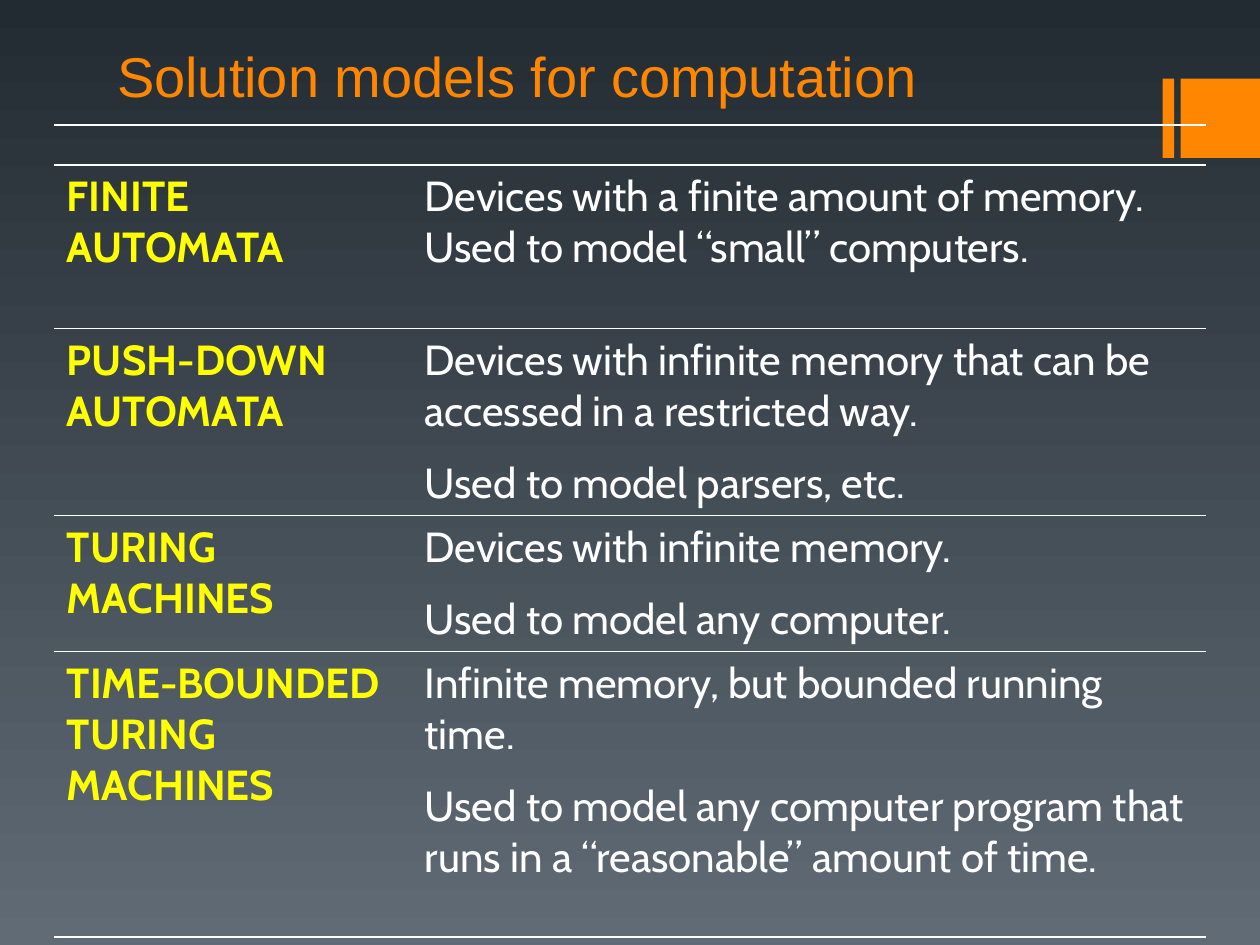
from lxml.etree import SubElement
from pptx import Presentation
from pptx.dml.color import RGBColor
from pptx.enum.shapes import MSO_CONNECTOR, MSO_SHAPE
from pptx.enum.text import MSO_ANCHOR
from pptx.oxml import parse_xml
from pptx.oxml.ns import nsdecls, qn
from pptx.util import Pt

COLORS = {"top": "232B32", "bottom": "606B76", "accent": "FF8600",
          "model": "FFFF00", "text": "FFFFFF"}
LEFT, WIDTH = 31, 658
THIN, THICK = 0.45, 1.08
MODELS = [
    (93.6, "FINITE AUTOMATA",
     ["Devices with a finite amount of memory.\nUsed to model “small” computers."]),
    (106.7, "PUSH-DOWN AUTOMATA",
     ["Devices with infinite memory that can be accessed in a restricted way.",
      "Used to model parsers, etc."]),
    (77.6, "TURING MACHINES",
     ["Devices with infinite memory.", "Used to model any computer."]),
    (163.4, "TIME-BOUNDED TURING MACHINES",
     ["Infinite memory, but bounded running time.",
      "Used to model any computer program that runs in a “reasonable” amount of time."]),
]


def color(name):
    return RGBColor.from_string(COLORS[name])


def format_runs(p, font, size, name, bold=False):
    for r in p.runs:
        r.font.name = font
        r.font.size = Pt(size)
        r.font.bold = bold
        r.font.color.rgb = color(name)


def set_background(s):
    fill = s.background.fill
    fill.gradient()
    fill.gradient_angle = 270
    for stop, name in zip(fill.gradient_stops, ("top", "bottom")):
        stop.color.rgb = color(name)


def add_block(s, left, width):
    sp = s.shapes.add_shape(MSO_SHAPE.RECTANGLE, Pt(left), Pt(45), Pt(width), Pt(45.3))
    sp.shadow.inherit = False
    sp.fill.solid()
    sp.fill.fore_color.rgb = color("accent")
    sp.line.fill.background()


def add_rule(s, y):
    line = s.shapes.add_connector(MSO_CONNECTOR.STRAIGHT, Pt(LEFT), Pt(y),
                                  Pt(LEFT + WIDTH), Pt(y))
    line.line.color.rgb = color("text")
    line.line.width = Pt(0.75)
    SubElement(line._element.spPr, qn("a:effectLst"))


def add_title(s, text):
    sp = s.shapes.add_textbox(Pt(59.8), Pt(0), Pt(576), Pt(65.5))
    tf = sp.text_frame
    tf.word_wrap = True
    tf.vertical_anchor = MSO_ANCHOR.BOTTOM
    tf.text = text
    format_runs(tf.paragraphs[0], "Arial", 32, "accent")


def set_borders(cell, top, bottom):
    tc_pr = cell._tc.get_or_add_tcPr()
    for i, (side, width) in enumerate(zip("LRTB", (0, 0, top, bottom))):
        paint = (f'<a:solidFill><a:srgbClr val="{COLORS["text"]}"/></a:solidFill>'
                 if width else "<a:noFill/>")
        tc_pr.insert(i, parse_xml(
            f'<a:ln{side} {nsdecls("a")} w="{Pt(width)}">{paint}</a:ln{side}>'))


def fill_cell(cell, texts, name, bold):
    tf = cell.text_frame
    for i, text in enumerate(texts):
        p = tf.add_paragraph() if i else tf.paragraphs[0]
        p.text = text
        p.space_before = Pt(12)
        format_runs(p, "Cabin", 24, name, bold)


def add_models(s):
    height = sum(row[0] for row in MODELS)
    table = s.shapes.add_table(len(MODELS), 2, Pt(LEFT), Pt(94.3),
                               Pt(WIDTH), Pt(height)).table
    table.first_row = table.horz_banding = False
    for column, width in zip(table.columns, (204.5, WIDTH - 204.5)):
        column.width = Pt(width)
    last = len(MODELS) - 1
    for i, (row_height, model, uses) in enumerate(MODELS):
        table.rows[i].height = Pt(row_height)
        fill_cell(table.cell(i, 0), [model], "model", True)
        fill_cell(table.cell(i, 1), uses, "text", False)
        for cell in table.rows[i].cells:
            cell.fill.background()
            set_borders(cell, THIN if i else THICK, THICK if i == last else THIN)


def main():
    prs = Presentation()
    prs.slide_width, prs.slide_height = Pt(720), Pt(540)
    s = prs.slides.add_slide(prs.slide_layouts[6])
    set_background(s)
    add_block(s, 664.3, 6.6)
    add_block(s, 674.7, 45.3)
    add_rule(s, 71.5)
    add_models(s)
    add_title(s, "Solution models for computation")
    prs.save("out.pptx")


if __name__ == "__main__":
    main()
